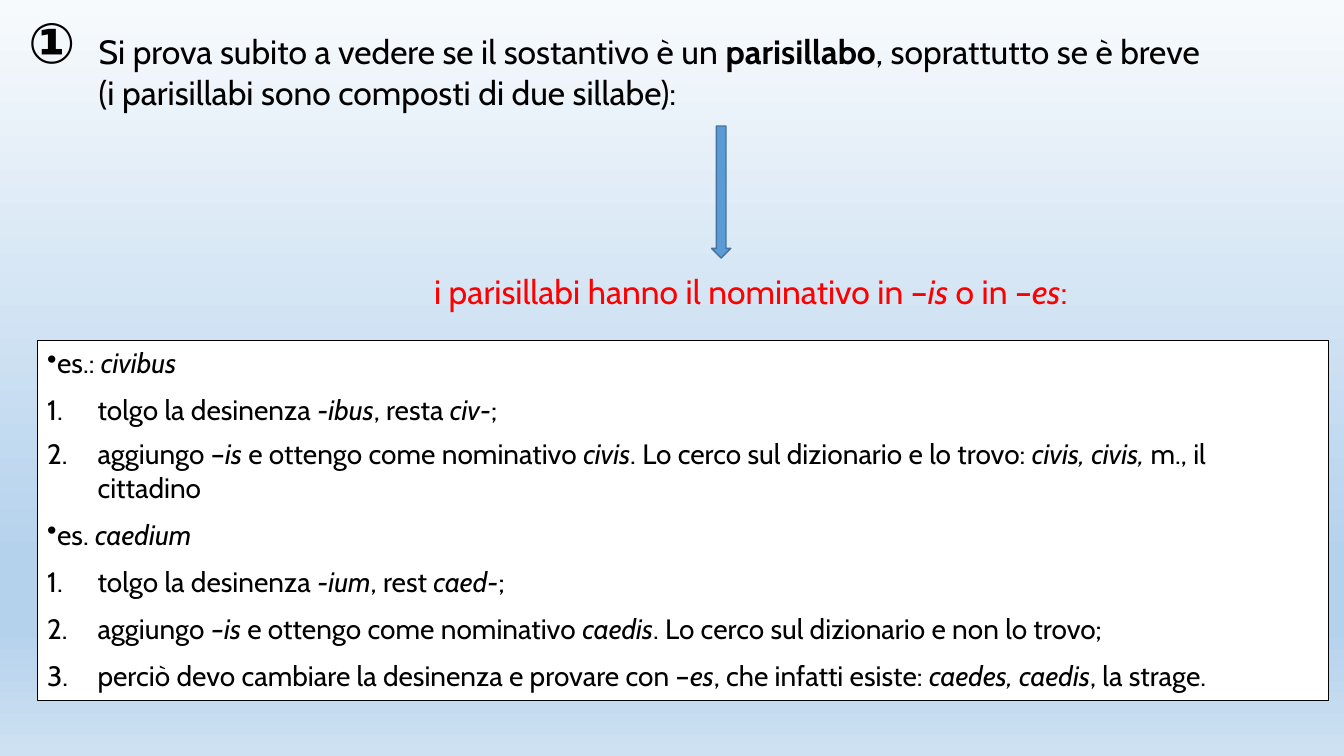
from dataclasses import dataclass

from lxml import etree
from pptx import Presentation
from pptx.dml.color import RGBColor
from pptx.enum.shapes import MSO_SHAPE
from pptx.enum.text import MSO_ANCHOR, PP_ALIGN
from pptx.oxml.ns import qn
from pptx.shapes.autoshape import Shape
from pptx.slide import Slide
from pptx.text.text import TextFrame
from pptx.util import Pt

RECTANGLE, DOWN_ARROW = MSO_SHAPE.RECTANGLE, MSO_SHAPE.DOWN_ARROW
TOP, MIDDLE = MSO_ANCHOR.TOP, MSO_ANCHOR.MIDDLE
LEFT, CENTER = PP_ALIGN.LEFT, PP_ALIGN.CENTER

FONT = "Cabin"
COLORS = {
    "black": "000000",
    "white": "FFFFFF",
    "red": "FF0000",
    "arrow": "5B9BD5",
    "arrow_edge": "43739E",
    "sky_top": "F7FAFD",
    "sky_deep": "B5D2EC",
    "sky_bottom": "CEE1F2",
}
SKY_STOPS = [(0, "sky_top"), (74, "sky_deep"), (83, "sky_deep"), (100, "sky_bottom")]


@dataclass
class Span:
    text: str
    italic: bool = False
    bold: bool = False


@dataclass
class Line:
    spans: list[Span]
    marker: str = ""  # "bullet", "number" or none
    space_before: float = 0


@dataclass
class Box:
    left: float
    top: float
    width: float
    height: float


@dataclass
class Label:
    box: Box
    lines: list[Line]
    size: float
    color: str = "black"
    align: PP_ALIGN = LEFT
    anchor: MSO_ANCHOR = TOP


def alternate(*texts: str) -> list[Span]:
    """Spans that switch between upright and italic, upright first."""
    return [Span(text, italic=index % 2 == 1) for index, text in enumerate(texts)]


LABELS = [
    Label(Box(13, 1.5, 57, 55.5), [Line([Span("①", bold=True)])], 40, anchor=MIDDLE),
    Label(Box(63.4, 18.7, 862, 65.5), [
        Line([Span("Si prova subito a vedere se il sostantivo è un "),
              Span("parisillabo", bold=True),
              Span(", soprattutto se è breve")]),
        Line([Span("(i parisillabi sono composti di due sillabe):")]),
    ], 24),
    Label(Box(209, 190, 654.5, 36), [
        Line(alternate("i parisillabi hanno il nominativo in –", "is ", "o in –", "es", ":")),
    ], 24, "red", CENTER),
]

EXAMPLES_BOX = Box(26.6, 243.4, 922.3, 257)
EXAMPLES = [
    Line(alternate("es.: ", "civibus"), "bullet"),
    Line(alternate("tolgo la desinenza ", "-ibus", ", resta ", "civ-", ";"), "number", 9.7),
    Line(alternate("aggiungo –", "is", " e ottengo come nominativo ", "civis",
                   ". Lo cerco sul dizionario e lo trovo: ", "civis, civis, ",
                   "m., il\ncittadino"), "number", 7.2),
    Line(alternate("es. ", "caedium"), "bullet", 9.7),
    Line(alternate("tolgo la desinenza ", "-ium", ", rest ", "caed-", ";"), "number", 9.7),
    Line(alternate("aggiungo ", "–is", " e ottengo come nominativo ", "caedis",
                   ". Lo cerco sul dizionario e non lo trovo;"), "number", 9.7),
    Line(alternate("perciò devo cambiare la desinenza e provare con –", "es",
                   ", che infatti esiste: ", "caedes, caedis", ", la strage."), "number", 9.7),
]
ARROW_BOX = Box(508.3, 90, 13.7, 94.3)


def rgb(name: str) -> RGBColor:
    return RGBColor.from_string(COLORS[name])


def paint_background(slide: Slide) -> None:
    fill = slide.background.fill
    fill.gradient()
    fill.gradient_angle = 270
    stops = slide.element.find(".//" + qn("a:gsLst"))
    for stop in list(stops):
        stops.remove(stop)
    for percent, color in SKY_STOPS:
        stop = etree.SubElement(stops, qn("a:gs"), pos=str(percent * 1000))
        etree.SubElement(stop, qn("a:srgbClr"), val=COLORS[color])


def write_lines(frame: TextFrame, lines: list[Line], size: float,
                color: str, align: PP_ALIGN, anchor: MSO_ANCHOR) -> None:
    frame.word_wrap = True
    frame.vertical_anchor = anchor
    for index, line in enumerate(lines):
        paragraph = frame.add_paragraph() if index else frame.paragraphs[0]
        paragraph.alignment = align
        paragraph.space_before = Pt(line.space_before)
        properties = paragraph._p.get_or_add_pPr()
        if line.marker == "bullet":
            etree.SubElement(properties, qn("a:buChar"), char="•")
        elif line.marker == "number":
            properties.set("marL", str(Pt(36)))
            properties.set("indent", str(-Pt(36)))
            etree.SubElement(properties, qn("a:buAutoNum"), type="arabicPeriod")
        for span in line.spans:
            for part_index, part in enumerate(span.text.split("\n")):
                if part_index:
                    paragraph.add_line_break()
                run = paragraph.add_run()
                run.text = part
                font = run.font
                font.name, font.size = FONT, Pt(size)
                font.bold, font.italic = span.bold, span.italic
                font.color.rgb = rgb(color)


def add_label(slide: Slide, label: Label) -> None:
    box = label.box
    shape = slide.shapes.add_textbox(Pt(box.left), Pt(box.top), Pt(box.width), Pt(box.height))
    write_lines(shape.text_frame, label.lines, label.size,
                label.color, label.align, label.anchor)


def add_filled_shape(slide: Slide, kind: MSO_SHAPE, box: Box, fill: str, edge: str) -> Shape:
    shape = slide.shapes.add_shape(kind, Pt(box.left), Pt(box.top), Pt(box.width), Pt(box.height))
    shape.shadow.inherit = False
    shape.fill.solid()
    shape.fill.fore_color.rgb = rgb(fill)
    shape.line.color.rgb = rgb(edge)
    shape.line.width = Pt(1)
    return shape


def main() -> None:
    presentation = Presentation()
    presentation.slide_width, presentation.slide_height = Pt(960), Pt(540)
    slide = presentation.slides.add_slide(presentation.slide_layouts[6])
    paint_background(slide)

    # Worked examples
    examples = add_filled_shape(slide, RECTANGLE, EXAMPLES_BOX, "white", "black")
    write_lines(examples.text_frame, EXAMPLES, 20, "black", LEFT, TOP)

    # Arrow from the question to the rule
    add_filled_shape(slide, DOWN_ARROW, ARROW_BOX, "arrow", "arrow_edge")

    # Step number, question and rule
    for label in LABELS:
        add_label(slide, label)

    presentation.save("out.pptx")


if __name__ == "__main__":
    main()
